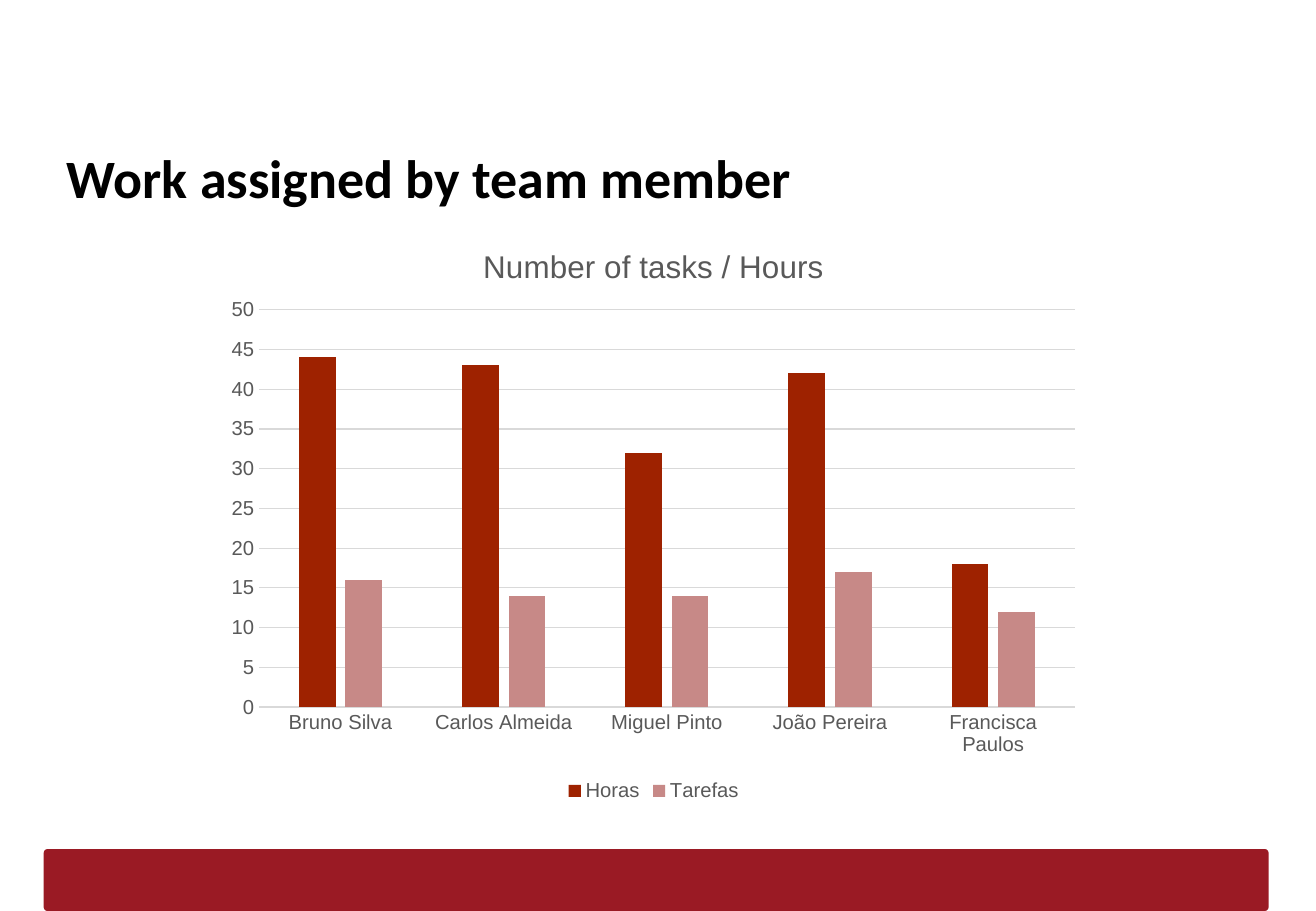
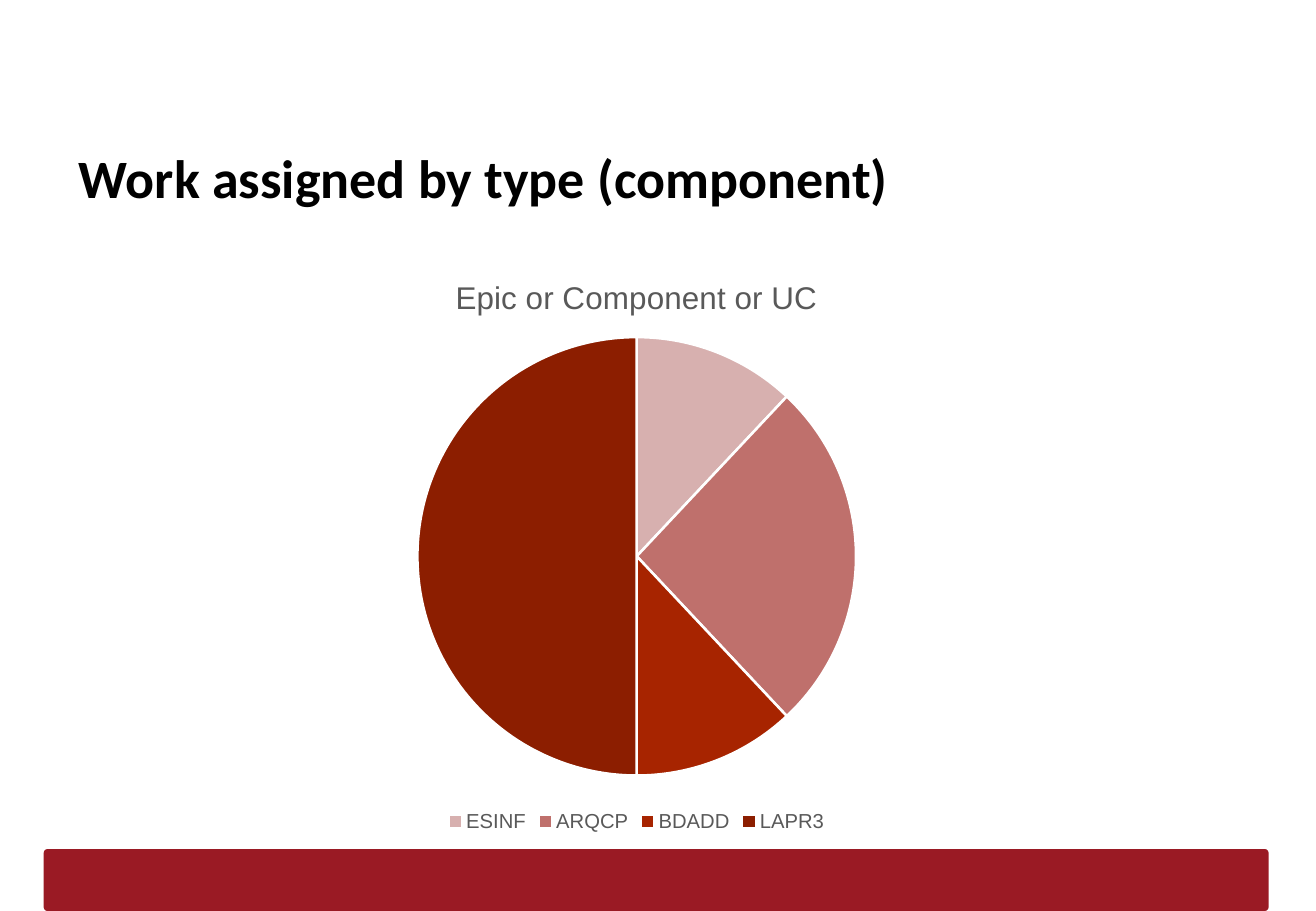
"""Build two slides charting how work was assigned."""
from dataclasses import dataclass

from lxml import etree
from pptx import Presentation
from pptx.chart.chart import Chart
from pptx.chart.data import CategoryChartData
from pptx.dml.color import RGBColor
from pptx.enum import chart as ch, shapes, text
from pptx.oxml import ns
from pptx.util import Inches, Pt

COLORS = {
    "band": "9A1A24", "title": "000000", "label": "595959", "grid": "D9D9D9",
    "gap": "FFFFFF", "hours": "9E2200", "tasks": "C78987", "esinf": "D7B0AF",
    "arqcp": "BF706C", "bdadd": "A72400", "lapr3": "8C1E00",
}


@dataclass
class ChartSlide:
    title: str
    title_inset: float
    kind: ch.XL_CHART_TYPE
    left: float
    top: float
    heading: str
    categories: list[str]
    series: dict[str, list[int]]
    fills: list[str]
    plot_area: tuple[float, float, float, float]


SLIDES = [
    ChartSlide(
        "Work assigned by team member", 0.1,
        ch.XL_CHART_TYPE.COLUMN_CLUSTERED, 1.77, 1.83, "Number of tasks / Hours",
        ["Bruno Silva", "Carlos Almeida", "Miguel Pinto", "João Pereira", "Francisca Paulos"],
        {"Horas": [44, 43, 32, 42, 18], "Tarefas": [16, 14, 14, 17, 12]},
        ["hours", "tasks"], (0.05, 0.15, 0.93, 0.68)),
    ChartSlide(
        "Work assigned by type (component)", 0.2,
        ch.XL_CHART_TYPE.PIE, 1.63, 2.08, "Epic or Component or UC",
        ["ESINF", "ARQCP", "BDADD", "LAPR3"],
        {"Series 1": [12, 26, 12, 50]},
        ["esinf", "arqcp", "bdadd", "lapr3"], (0.25, 0.14, 0.5, 0.76)),
]


def rgb(name: str) -> RGBColor:
    return RGBColor.from_string(COLORS[name])


def set_font(font, name: str, size: float, color: str, bold: bool = False) -> None:
    font.name, font.size, font.bold = name, Pt(size), bold
    font.color.rgb = rgb(color)


def add_band(s, layout) -> None:
    band = s.shapes.add_shape(shapes.MSO_SHAPE.ROUNDED_RECTANGLE,
                              Inches(0.36), Inches(6.99), Inches(10.08), Inches(0.51))
    band.adjustments[0] = 0.06
    band.shadow.inherit = False
    band.fill.solid()
    band.fill.fore_color.rgb = rgb("band")
    band.line.fill.background()
    band.element.nvSpPr.cNvPr.set("id", "20")
    layout.shapes.element.append(band.element)


def set_title(s, spec: ChartSlide) -> None:
    sp = s.shapes.title
    sp.left, sp.top, sp.width, sp.height = map(Inches, (0.45, 1.09, 9.89, 0.63))
    tf = sp.text_frame
    tf.text = spec.title
    tf.word_wrap = True
    tf.auto_size = text.MSO_AUTO_SIZE.NONE
    tf.vertical_anchor = text.MSO_ANCHOR.TOP
    tf.margin_left = Inches(spec.title_inset)
    tf.margin_top = tf.margin_right = tf.margin_bottom = Inches(0.1)
    p = tf.paragraphs[0]
    p.alignment = text.PP_ALIGN.LEFT
    set_font(p.font, "Calibri", 32, "title", bold=True)


def place_plot(chart: Chart, area: tuple[float, float, float, float]) -> None:
    plot_area = chart.element.find(".//" + ns.qn("c:plotArea"))
    for old in plot_area.findall(ns.qn("c:layout")):
        plot_area.remove(old)
    layout = etree.Element(ns.qn("c:layout"))
    manual = etree.SubElement(layout, ns.qn("c:manualLayout"))
    settings = [("layoutTarget", "inner"), ("xMode", "edge"), ("yMode", "edge")]
    settings += zip("xywh", map(str, area))
    for tag, value in settings:
        etree.SubElement(manual, ns.qn(f"c:{tag}")).set("val", value)
    plot_area.insert(0, layout)


def format_columns(chart: Chart, fills: list[str]) -> None:
    plot = chart.plots[0]
    plot.gap_width, plot.overlap = 219, -27
    for series, fill in zip(plot.series, fills):
        series.format.fill.solid()
        series.format.fill.fore_color.rgb = rgb(fill)
    for axis in (chart.category_axis, chart.value_axis):
        axis.major_tick_mark = axis.minor_tick_mark = ch.XL_TICK_MARK.NONE
        set_font(axis.tick_labels.font, "Arial", 12, "label")
    values = chart.value_axis
    values.minimum_scale, values.maximum_scale, values.major_unit = 0, 50, 5
    values.format.line.fill.background()
    values.has_major_gridlines = True
    for line in (chart.category_axis.format.line, values.major_gridlines.format.line):
        line.color.rgb = rgb("grid")
        line.width = Pt(0.75)


def format_pie(chart: Chart, fills: list[str]) -> None:
    for i, fill in enumerate(fills):
        slice_format = chart.plots[0].series[0].points[i].format
        slice_format.fill.solid()
        slice_format.fill.fore_color.rgb = rgb(fill)
        slice_format.line.color.rgb = rgb("gap")
        slice_format.line.width = Pt(1.5)


def add_chart(s, spec: ChartSlide) -> None:
    data = CategoryChartData()
    data.categories = spec.categories
    for name, values in spec.series.items():
        data.add_series(name, values)
    chart = s.shapes.add_chart(spec.kind, Inches(spec.left), Inches(spec.top),
                               Inches(7.22), Inches(4.81), data).chart
    set_font(chart.font, "Arial", 10, "title")
    chart.has_title = True
    tf = chart.chart_title.text_frame
    tf.text = spec.heading
    set_font(tf.paragraphs[0].font, "Arial", 18.6, "label")
    chart.has_legend = True
    chart.legend.position = ch.XL_LEGEND_POSITION.BOTTOM
    chart.legend.include_in_layout = False
    set_font(chart.legend.font, "Arial", 12, "label")
    is_pie = spec.kind == ch.XL_CHART_TYPE.PIE
    chart.plots[0].vary_by_categories = is_pie
    (format_pie if is_pie else format_columns)(chart, spec.fills)
    place_plot(chart, spec.plot_area)


def main() -> None:
    prs = Presentation()
    prs.slide_width, prs.slide_height = Inches(10.83), Inches(7.5)
    layout = prs.slide_layouts.get_by_name("Title Only")
    for spec in SLIDES:
        s = prs.slides.add_slide(layout)
        set_title(s, spec)
        add_chart(s, spec)
    add_band(prs.slides[0], layout)
    prs.save("out.pptx")


if __name__ == "__main__":
    main()
